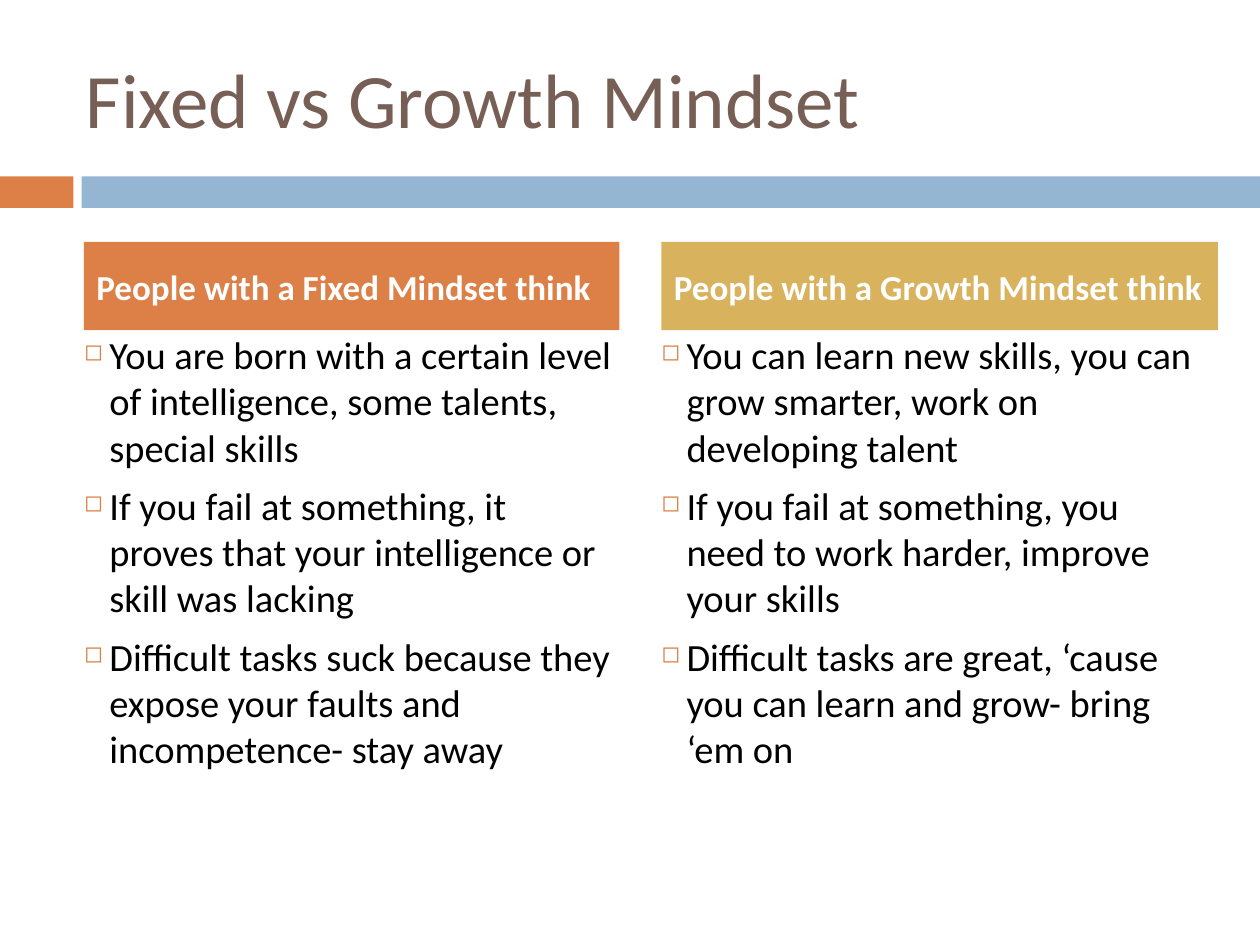
from lxml import etree
from pptx import Presentation
from pptx.dml.color import RGBColor
from pptx.enum.shapes import MSO_SHAPE
from pptx.enum.text import MSO_ANCHOR, PP_ALIGN
from pptx.oxml.ns import qn
from pptx.util import Pt

RECTANGLE = MSO_SHAPE.RECTANGLE
MIDDLE = MSO_ANCHOR.MIDDLE
LEFT = PP_ALIGN.LEFT
FONT = "Calibri"
COLORS = {
    "brown": "775F55",
    "orange": "DD8047",
    "blue": "94B6D2",
    "gold": "D8B25C",
    "white": "FFFFFF",
    "black": "000000",
}
COLUMNS = [
    {
        "header_box": (48, 138.24, 306, 50.4),
        "list_box": (30.24, 185.76, 330.48, 311.04),
        "color": "orange",
        "header": "People with a Fixed Mindset think",
        "points": [
            "You are born with a certain level of intelligence, some talents, special skills",
            "If you fail at something, it proves that your intelligence or skill was lacking",
            "Difficult tasks suck because they expose your faults and incompetence- stay away",
        ],
    },
    {
        "header_box": (378, 138.24, 318, 50.4),
        "list_box": (360, 185.76, 336, 311.04),
        "color": "gold",
        "header": "People with a Growth Mindset think",
        "points": [
            "You can learn new skills, you can grow smarter, work on developing talent",
            "If you fail at something, you need to work harder, improve your skills",
            "Difficult tasks are great, ‘cause you can learn and grow- bring ‘em on",
        ],
    },
]


def rgb(name):
    """Return the named palette colour."""
    return RGBColor.from_string(COLORS[name])


def add_block(page, box, color):
    """Add a plain filled rectangle."""
    block = page.shapes.add_shape(RECTANGLE, *map(Pt, box))
    block.shadow.inherit = False
    block.fill.solid()
    block.fill.fore_color.rgb = rgb(color)
    block.line.fill.background()
    return block


def write(shape, lines, size, color, bold=False, space=0):
    """Fill a shape with left-aligned paragraphs and return them."""
    frame = shape.text_frame
    frame.word_wrap = True
    frame.text = "\n".join(lines)
    for paragraph in frame.paragraphs:
        paragraph.alignment = LEFT
        paragraph.space_before = Pt(space)
        font = paragraph.font
        font.name, font.size, font.bold = FONT, Pt(size), bold
        font.color.rgb = rgb(color)
    return frame.paragraphs


def add_bullet(paragraph):
    """Give a paragraph a small orange square and a hanging indent."""
    properties = paragraph._p.get_or_add_pPr()
    properties.set("marL", str(Pt(25.2)))
    properties.set("indent", str(Pt(-14.4)))
    bullet_color = etree.Element(qn("a:buClr"))
    etree.SubElement(bullet_color, qn("a:srgbClr"), val=COLORS["orange"])
    bullet_size = etree.Element(qn("a:buSzPct"), val="60000")
    bullet = etree.Element(qn("a:buChar"), char="◻")
    font_properties = properties.find(qn("a:defRPr"))
    for element in (bullet_color, bullet_size, bullet):
        font_properties.addprevious(element)


def add_title(page, box, text):
    """Add the slide title."""
    title = page.shapes.add_textbox(*map(Pt, box))
    title.text_frame.vertical_anchor = MIDDLE
    write(title, [text], 44, "brown")


def add_band(page, box, tab, gap):
    """Add the two-colour band with a short tab at its left end."""
    left, top, width, height = box
    offset = tab + gap
    add_block(page, (left, top, tab, height), "orange")
    add_block(page, (left + offset, top, width - offset, height), "blue")


def add_column(page, header_box, list_box, color, header, points):
    """Add a coloured header and the bulleted list below it."""
    heading = add_block(page, header_box, color)
    heading.text_frame.vertical_anchor = MIDDLE
    write(heading, [header], 20, "white", True, 7)
    body = page.shapes.add_textbox(*map(Pt, list_box))
    for paragraph in write(body, points, 22, "black", space=7):
        add_bullet(paragraph)


def main():
    """Build and save the deck."""
    deck = Presentation()
    deck.slide_width, deck.slide_height = Pt(720), Pt(540)
    page = deck.slides.add_slide(deck.slide_layouts[6])
    add_band(page, (0, 100.8, 720, 18), 42, 4.6)
    add_title(page, (42, 21.6, 642, 68.4), "Fixed vs Growth Mindset")
    for column in COLUMNS:
        add_column(page, **column)
    deck.save("out.pptx")


main()
